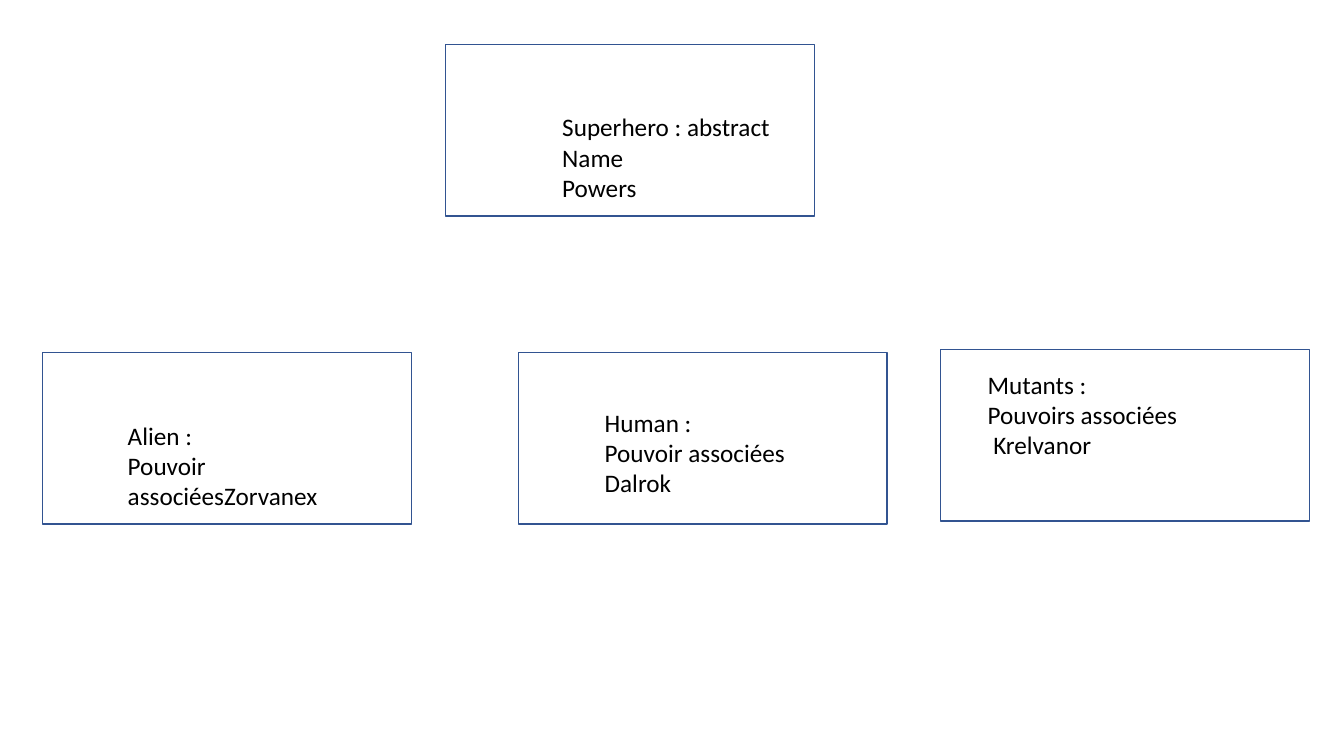
from dataclasses import dataclass

from pptx import Presentation
from pptx.dml.color import RGBColor
from pptx.enum.shapes import MSO_SHAPE
from pptx.enum.text import MSO_AUTO_SIZE
from pptx.slide import Slide
from pptx.util import Cm, Pt

RECT = MSO_SHAPE.RECTANGLE
GROW = MSO_AUTO_SIZE.SHAPE_TO_FIT_TEXT

FONT = "Calibri"
BLUE = "325491"
BLACK = "000000"
BOX_W, BOX_H = 9.3, 4.32
TEXT_H = 2.57


@dataclass
class Hero:
    """A class box and its label; lengths in cm."""
    left: float
    top: float
    text_left: float
    text_top: float
    text_width: float
    text: str


HEROES = [
    Hero(11.23, 1.12, 13.92, 2.69, 6.05, "Superhero : abstract\nName\nPowers"),
    Hero(1.07, 8.89, 2.97, 10.46, 5.72, "Alien : \nPouvoir associéesZorvanex"),
    Hero(13.06, 8.89, 14.99, 10.13, 5.36, "Human : \nPouvoir associées\nDalrok"),
    Hero(23.7, 8.81, 24.64, 9.17, 8.15, "Mutants :\nPouvoirs associées\n Krelvanor"),
]


def color(code: str) -> RGBColor:
    return RGBColor.from_string(code)


def add_box(slide: Slide, hero: Hero) -> None:
    box = slide.shapes.add_shape(
        RECT, Cm(hero.left), Cm(hero.top), Cm(BOX_W), Cm(BOX_H))
    box.shadow.inherit = False
    box.fill.background()
    box.line.color.rgb = color(BLUE)
    box.line.width = Pt(1)


def add_label(slide: Slide, hero: Hero) -> None:
    label = slide.shapes.add_textbox(
        Cm(hero.text_left), Cm(hero.text_top), Cm(hero.text_width), Cm(TEXT_H))
    frame = label.text_frame
    frame.word_wrap = True
    frame.auto_size = GROW
    frame.text = hero.text
    for para in frame.paragraphs:
        for run in para.runs:
            run.font.name = FONT
            run.font.size = Pt(18)
            run.font.color.rgb = color(BLACK)


# Slide
deck = Presentation()
deck.slide_width, deck.slide_height = Cm(33.87), Cm(19.05)
slide = deck.slides.add_slide(deck.slide_layouts.get_by_name("Blank"))

# Class boxes with their labels
for hero in HEROES:
    add_box(slide, hero)
    add_label(slide, hero)

deck.save("out.pptx")
